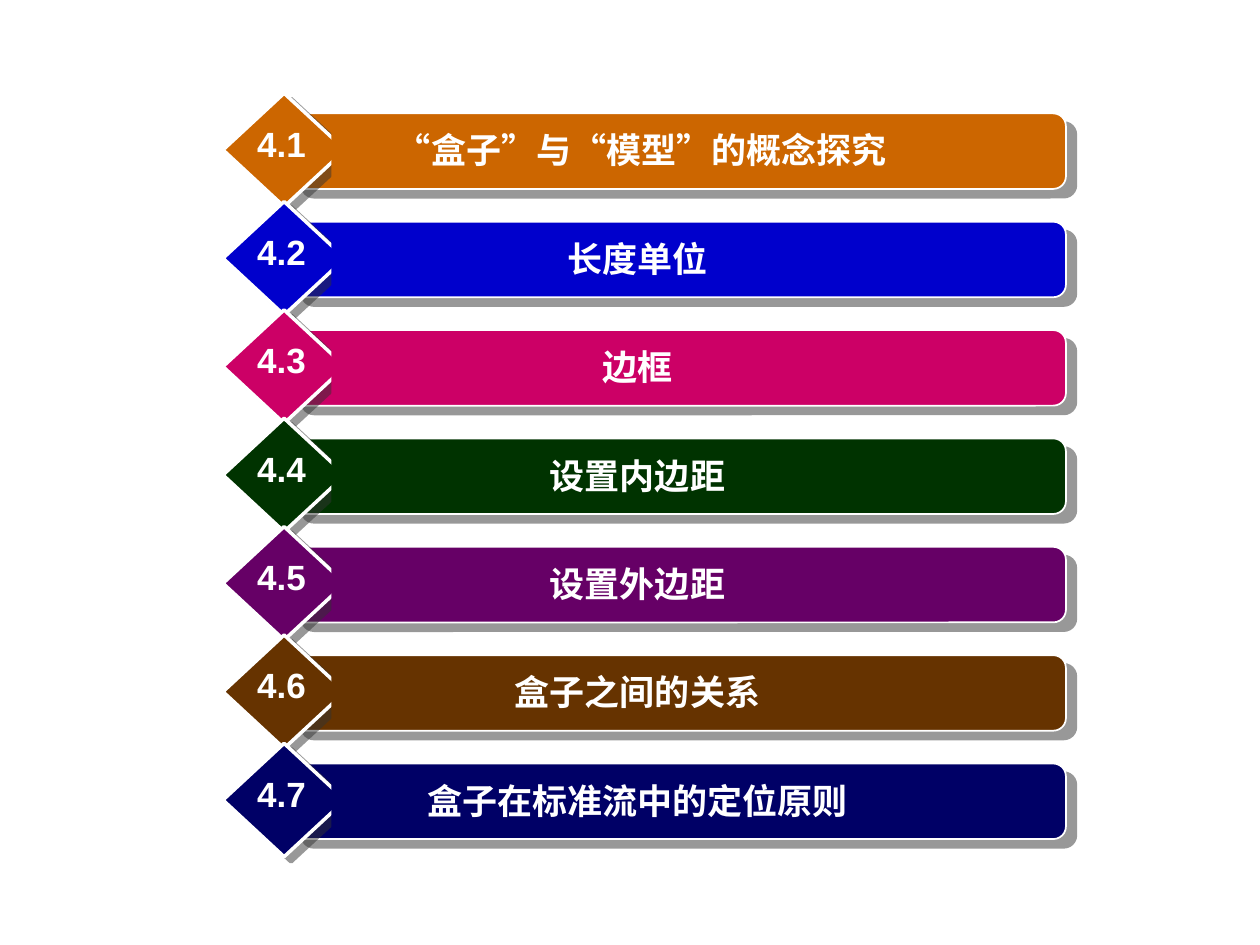
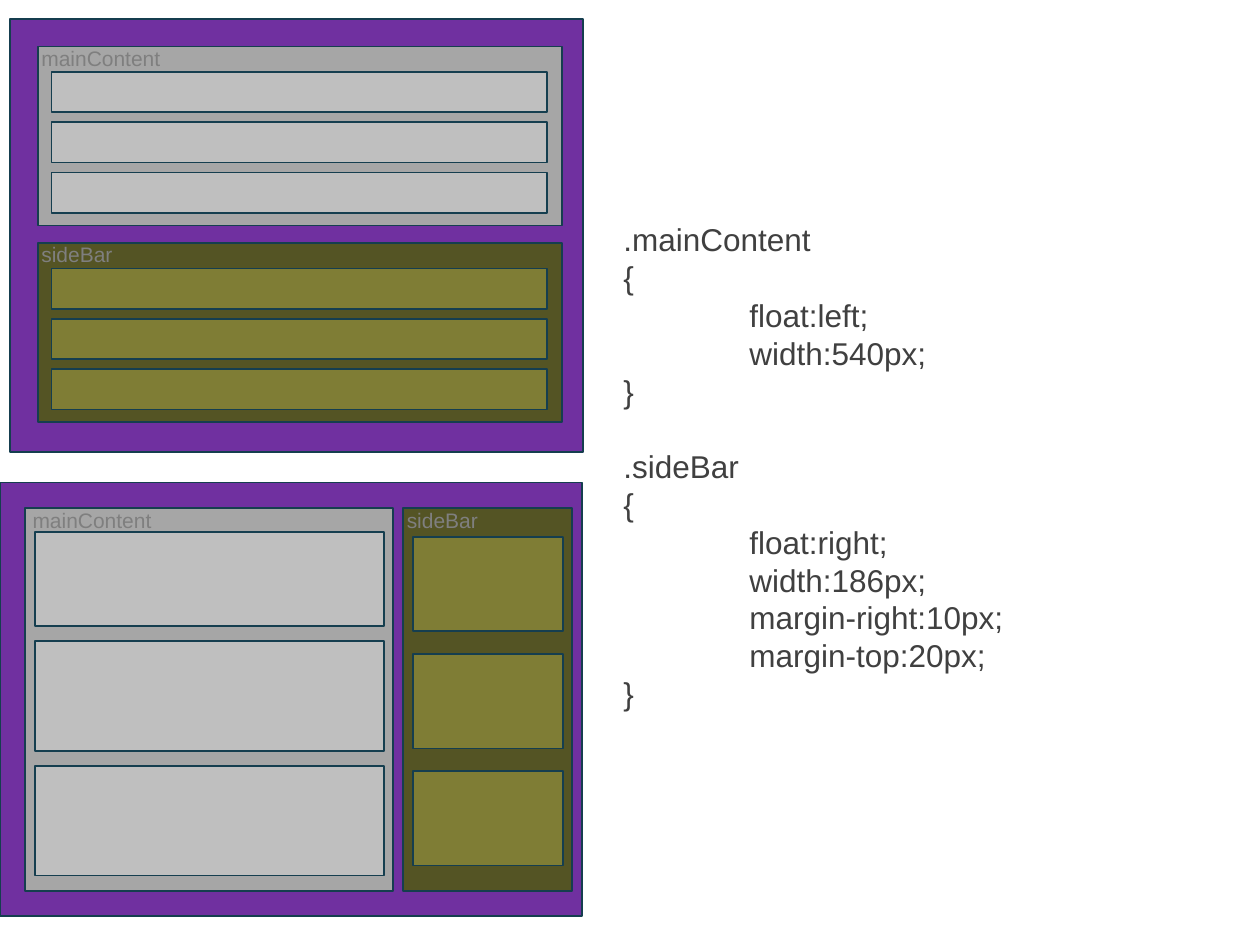
from lxml import etree
from pptx import Presentation
from pptx.dml.color import RGBColor
from pptx.enum.lang import MSO_LANGUAGE_ID
from pptx.enum.shapes import MSO_SHAPE
from pptx.enum.text import MSO_ANCHOR, PP_ALIGN
from pptx.oxml.ns import qn
from pptx.util import Pt

RECTANGLE = MSO_SHAPE.RECTANGLE
ROUNDED = MSO_SHAPE.ROUNDED_RECTANGLE
DIAMOND = MSO_SHAPE.DIAMOND
LEFT, CENTER = PP_ALIGN.LEFT, PP_ALIGN.CENTER
MIDDLE = MSO_ANCHOR.MIDDLE
CHINESE = MSO_LANGUAGE_ID.SIMPLIFIED_CHINESE

PX = 9144  # 100 px to the inch
INDENT = 100 * PX
LATIN_FONT, CHINESE_FONT = "Arial", "Noto Sans CJK JP"
WHITE, CODE_GREY, LABEL_GREY = "FFFFFF", "404040", "7F7F7F"
SHADOW, OUTLINE = "333333", "153E4F"
PAGE_PURPLE = "7030A0"


def add_box(slide, kind, box, fill, line=None, line_width=1, shadow=None):
    """Draw a preset shape; shadow is (distance in points, angle in degrees)."""
    shape = slide.shapes.add_shape(kind, *[length * PX for length in box])
    shape.shadow.inherit = False
    shape.fill.solid()
    shape.fill.fore_color.rgb = RGBColor.from_string(fill)
    if line:
        shape.line.color.rgb = RGBColor.from_string(line)
        shape.line.width = Pt(line_width)
    else:
        shape.line.fill.background()
    if shadow:
        distance, angle = shadow
        effects = shape._element.spPr.find(qn("a:effectLst"))
        outer = etree.SubElement(effects, qn("a:outerShdw"), blurRad="0",
                                 dist=str(Pt(distance)), dir=str(angle * 60000),
                                 algn="ctr", rotWithShape="0")
        color = etree.SubElement(outer, qn("a:srgbClr"), val=SHADOW)
        etree.SubElement(color, qn("a:alpha"), val="50000")
    return shape


def write(shape, text, size, color, bold=False, align=LEFT, line_height=None):
    """Fill a shape with text: a tab indents a line, an empty line becomes space."""
    frame = shape.text_frame
    frame.word_wrap = True
    frame.vertical_anchor = MIDDLE
    paragraph, gap = None, False
    for line in text.split("\n"):
        if not line:
            gap = True
            continue
        paragraph = frame.add_paragraph() if paragraph else frame.paragraphs[0]
        paragraph.alignment = align
        if line_height:
            paragraph.line_spacing = Pt(line_height)
        if gap:
            paragraph.space_before = Pt(line_height)
            gap = False
        if line.startswith("\t"):
            paragraph._p.get_or_add_pPr().set("marL", str(INDENT))
        run = paragraph.add_run()
        run.text = line.lstrip("\t")
        font = run.font
        font.name, font.size, font.bold = LATIN_FONT, Pt(size), bold
        font.language_id = CHINESE
        font.color.rgb = RGBColor.from_string(color)
        latin = font._element.find(qn("a:latin"))
        latin.addnext(latin.makeelement(qn("a:ea"), {"typeface": CHINESE_FONT}))


presentation = Presentation()
presentation.slide_width = 1000 * PX
presentation.slide_height = 750 * PX
blank = presentation.slide_layouts[6]

# Chapter contents
slide = presentation.slides.add_slide(blank)
sections = [
    (" “盒子”与“模型”的概念探究", "CC6600"),
    ("长度单位", "0000CC"),
    ("边框", "CC0066"),
    ("设置内边距", "003300"),
    ("设置外边距", "660066"),
    ("盒子之间的关系", "663300"),
    ("盒子在标准流中的定位原则", "000066"),
]
for index, (title, color) in enumerate(sections):
    top = 74 + 86 * index
    add_box(slide, ROUNDED, (231, top + 16, 615, 60), color, WHITE, 1, (7.8, 40))
    add_box(slide, DIAMOND, (177, top, 97, 90), color, WHITE, 2, (5, 37))
    title_box = add_box(slide, RECTANGLE, (263, top + 23, 486, 44), color)
    write(title_box, title, 20, WHITE, bold=True, align=CENTER)
    number_box = slide.shapes.add_textbox(192 * PX, (top + 18) * PX, 63 * PX, 43 * PX)
    write(number_box, f"4.{index + 1}", 20, WHITE, bold=True, align=CENTER,
          line_height=24)

# Floating columns
slide = presentation.slides.add_slide(blank)
code = """.mainContent
{
\tfloat:left;
\twidth:540px;
}

.sideBar
{
\tfloat:right;
\twidth:186px;
\tmargin-right:10px;
\tmargin-top:20px;
}"""
code_box = slide.shapes.add_textbox(485 * PX, 168 * PX, 500 * PX, 404 * PX)
write(code_box, code, 18, CODE_GREY, line_height=21.6)

# Panel name: panel colour, row colour, label width
styles = {
    "mainContent": ("A6A6A6", "BFBFBF", 125),
    "sideBar": ("545424", "7F7D35", 78),
}
# Page box, then panels: name, box, label place, row left and width, row tops and heights
pages = [
    ((8, 15, 455, 344), [
        ("mainContent", (30, 37, 416, 142), (23, 31), (41, 393),
         [(57 + 40 * row, 32) for row in range(3)]),
        ("sideBar", (30, 193, 416, 142), (23, 187), (41, 393),
         [(213 + 40 * row, 32) for row in range(3)]),
    ]),
    ((0, 383, 462, 344), [
        ("mainContent", (20, 403, 292, 304), (16, 398), (28, 277),
         [(422, 75), (509, 87), (608, 87)]),
        ("sideBar", (320, 403, 134, 304), (313, 398), (328, 119),
         [(426 + 93 * row, 75) for row in range(3)]),
    ]),
]
for page_box, panels in pages:
    add_box(slide, RECTANGLE, page_box, PAGE_PURPLE, OUTLINE)
    for name, panel_box, (label_left, label_top), (left, width), rows in panels:
        panel_color, row_color, label_width = styles[name]
        add_box(slide, RECTANGLE, panel_box, panel_color, OUTLINE)
        for top, height in rows:
            add_box(slide, RECTANGLE, (left, top, width, height), row_color, OUTLINE)
        label = slide.shapes.add_textbox(label_left * PX, label_top * PX,
                                         label_width * PX, 30 * PX)
        write(label, name, 12, LABEL_GREY, line_height=14.4)

presentation.save("out.pptx")
